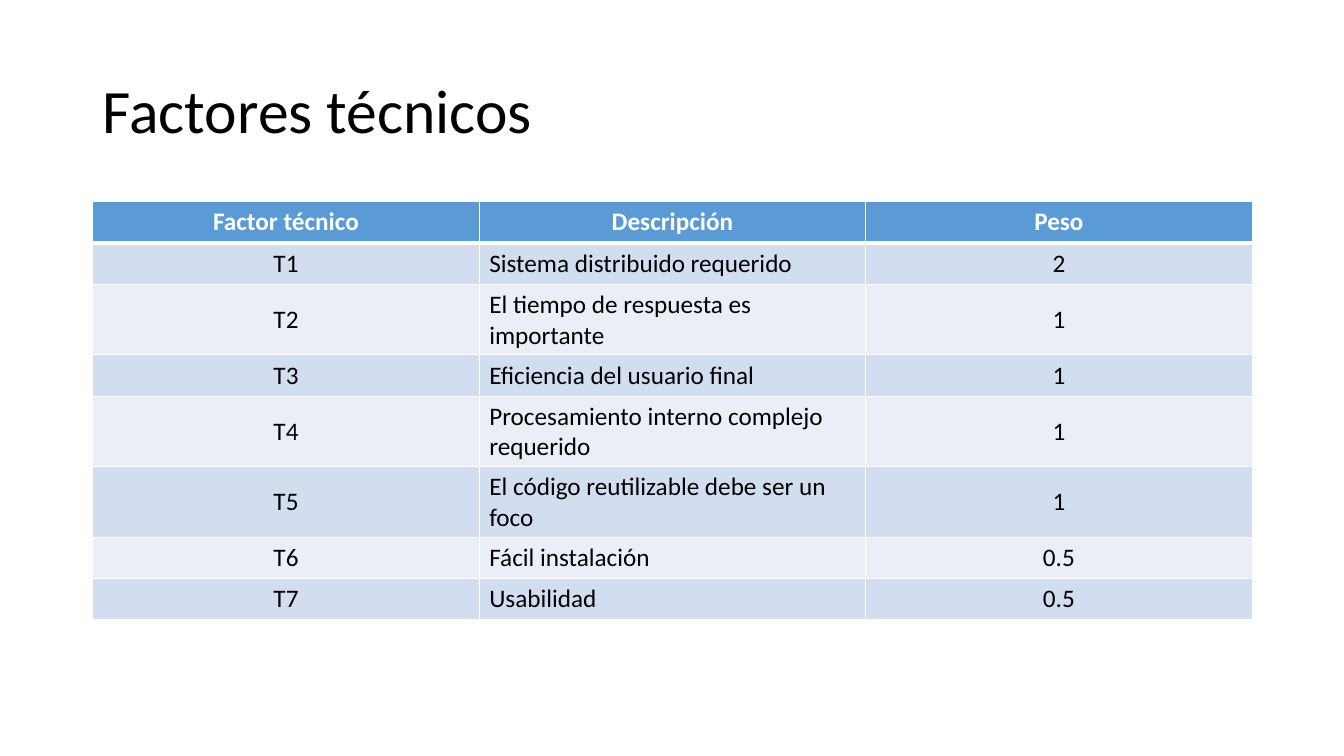
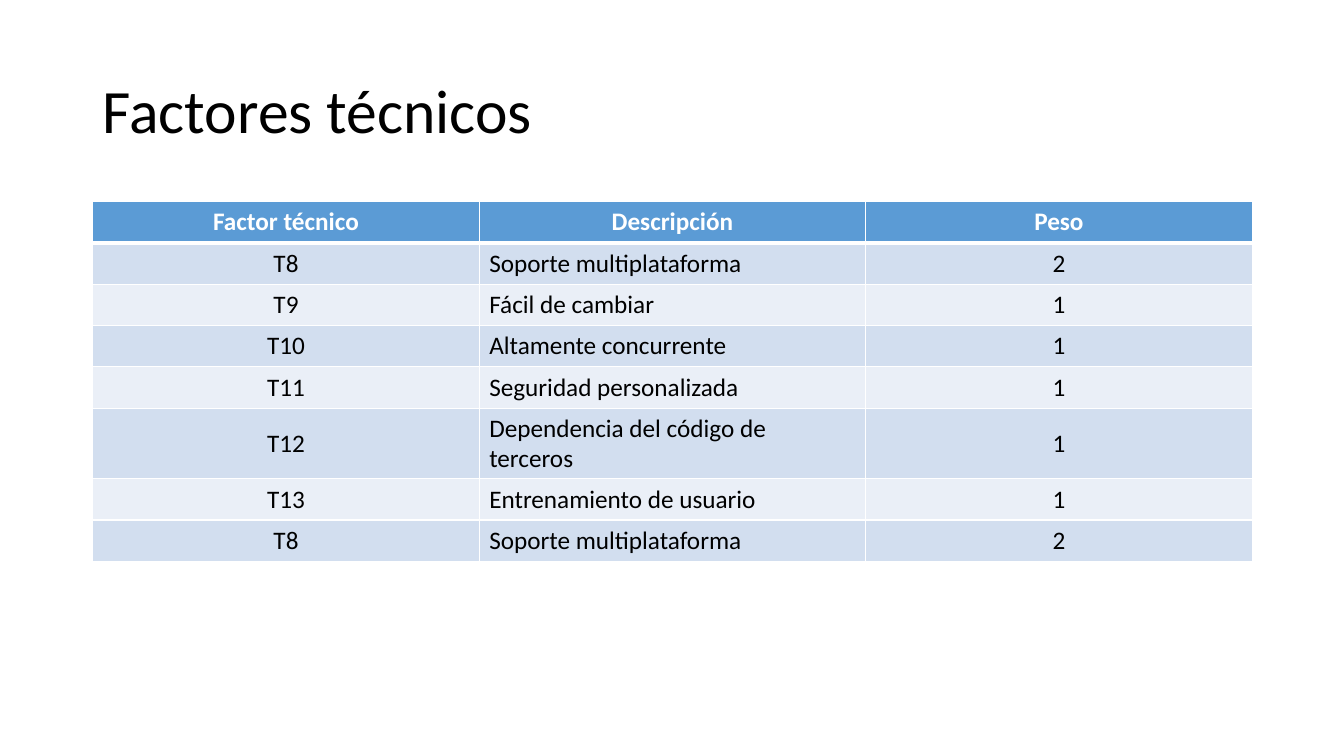
from lxml import etree
from pptx import Presentation
from pptx.dml.color import RGBColor
from pptx.enum.text import MSO_ANCHOR, PP_ALIGN
from pptx.oxml.ns import qn
from pptx.util import Inches, Pt

MIDDLE = MSO_ANCHOR.MIDDLE
LEFT, CENTER = PP_ALIGN.LEFT, PP_ALIGN.CENTER

# Content
TITLE = "Factores técnicos"
HEADINGS = ("Factor técnico", "Descripción", "Peso")
COLUMN_ALIGNMENT = (CENTER, LEFT, CENTER)
FACTOR_GROUPS = (
    (
        ("T1", "Sistema distribuido requerido", "2"),
        ("T2", "El tiempo de respuesta es importante", "1"),
        ("T3", "Eficiencia del usuario final", "1"),
        ("T4", "Procesamiento interno complejo requerido", "1"),
        ("T5", "El código reutilizable debe ser un foco", "1"),
        ("T6", "Fácil instalación", "0.5"),
        ("T7", "Usabilidad", "0.5"),
    ),
    (
        ("T8", "Soporte multiplataforma", "2"),
        ("T9", "Fácil de cambiar", "1"),
        ("T10", "Altamente concurrente", "1"),
        ("T11", "Seguridad personalizada", "1"),
        ("T12", "Dependencia del código de terceros", "1"),
        ("T13", "Entrenamiento de usuario", "1"),
        ("T8", "Soporte multiplataforma", "2"),
    ),
)


def rgb(code):
    return RGBColor.from_string(code)


class Deck:
    """Holds the shared style and the current slide."""

    FONT = "Calibri"
    INK, PAPER, HEADER = "000000", "FFFFFF", "5B9BD5"
    BANDS = ("D2DEEF", "EAEFF7")
    TITLE_SIZE, TABLE_SIZE = 44, 18
    THIN, THICK = 1, 3
    LEFT_EDGE, CONTENT_WIDTH = Inches(0.92), Inches(11.5)
    TITLE_TOP, TITLE_HEIGHT = Inches(0.4), Inches(1.45)
    TABLE_TOP, ROW_HEIGHT = Inches(2), Inches(0.41)

    def __init__(self):
        self.presentation = Presentation()
        self.presentation.slide_width = Inches(13.33)
        self.presentation.slide_height = Inches(7.5)
        self.slide = None

    def new_slide(self):
        blank = self.presentation.slide_layouts[6]
        self.slide = self.presentation.slides.add_slide(blank)

    def set_text(self, frame, text, size, color, bold=False, align=LEFT):
        frame.text = text
        paragraph = frame.paragraphs[0]
        paragraph.alignment = align
        font = paragraph.runs[0].font
        font.name, font.size, font.bold = self.FONT, Pt(size), bold
        font.color.rgb = rgb(color)
        return paragraph

    def title(self, text):
        frame = self.slide.shapes.add_textbox(
            self.LEFT_EDGE, self.TITLE_TOP, self.CONTENT_WIDTH, self.TITLE_HEIGHT
        ).text_frame
        frame.word_wrap = True
        frame.vertical_anchor = MIDDLE
        self.set_text(frame, text, self.TITLE_SIZE, self.INK).line_spacing = 0.9

    def borders(self, cell, top, bottom):
        properties = cell._tc.get_or_add_tcPr()
        widths = {"lnL": self.THIN, "lnR": self.THIN, "lnT": top, "lnB": bottom}
        # Border lines must come before the fill
        for position, (side, width) in enumerate(widths.items()):
            line = etree.Element(qn(f"a:{side}"), w=str(int(Pt(width))))
            solid = etree.SubElement(line, qn("a:solidFill"))
            etree.SubElement(solid, qn("a:srgbClr"), val=self.PAPER)
            properties.insert(position, line)

    def table(self, headings, records):
        rows = (headings, *records)
        table = self.slide.shapes.add_table(
            len(rows), len(headings), self.LEFT_EDGE, self.TABLE_TOP,
            self.CONTENT_WIDTH, self.ROW_HEIGHT * len(rows)
        ).table
        for r, row in enumerate(rows):
            is_header = r == 0
            fill = self.HEADER if is_header else self.BANDS[(r - 1) % 2]
            color = self.PAPER if is_header else self.INK
            top = self.THICK if r == 1 else self.THIN
            bottom = self.THICK if is_header else self.THIN
            for c, text in enumerate(row):
                cell = table.cell(r, c)
                cell.vertical_anchor = MIDDLE
                cell.fill.solid()
                cell.fill.fore_color.rgb = rgb(fill)
                self.borders(cell, top, bottom)
                align = CENTER if is_header else COLUMN_ALIGNMENT[c]
                self.set_text(cell.text_frame, text, self.TABLE_SIZE, color,
                              is_header, align)


def main():
    deck = Deck()
    # One slide for each group of factors
    for factors in FACTOR_GROUPS:
        deck.new_slide()
        deck.title(TITLE)
        deck.table(HEADINGS, factors)
    deck.presentation.save("out.pptx")


if __name__ == "__main__":
    main()
